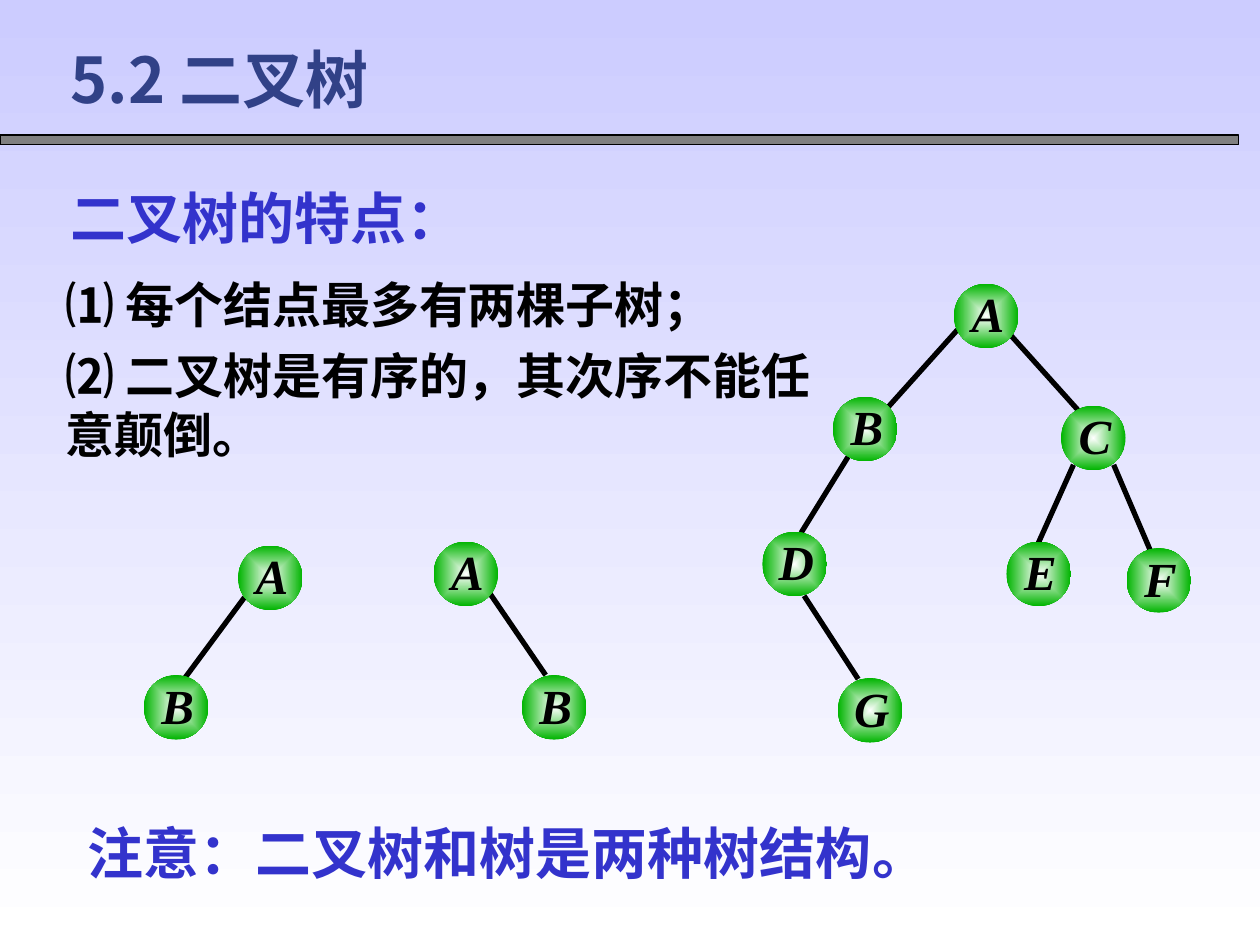
from dataclasses import dataclass

from lxml.etree import SubElement
from pptx import Presentation
from pptx.dml.color import RGBColor
from pptx.enum.shapes import MSO_CONNECTOR, MSO_SHAPE
from pptx.enum.text import MSO_AUTO_SIZE, PP_ALIGN
from pptx.oxml import parse_xml
from pptx.oxml.ns import nsdecls, qn
from pptx.slide import Slide
from pptx.util import Cm, Pt

SERIF = "Times New Roman"
SANS = "Noto Sans CJK SC"

BINARY_TREE = (
    [("A", 19.23, 5.72), ("B", 16.79, 8), ("C", 21.39, 8.18), ("D", 15.37, 10.72),
     ("E", 20.29, 10.92), ("F", 22.71, 11.05), ("G", 16.89, 13.67)],
    [(19.3, 6.65, 17.91, 8.2), (20.35, 6.73, 21.77, 8.31), (17.12, 9.17, 16.15, 10.74),
     (16.21, 12.01, 17.3, 13.69), (21.64, 9.37, 20.93, 10.95), (22.45, 9.37, 23.19, 11.1)],
)
ORDERED_PAIR = (
    [("A", 4.8, 11), ("B", 2.9, 13.61), ("A", 8.74, 10.92), ("B", 10.52, 13.61)],
    [(4.93, 12.04, 3.71, 13.69), (9.86, 11.94, 11, 13.61)],
)


def color(value):
    return RGBColor.from_string(value)


def write(frame, text, size=28, font=SANS, ink="000000", italic=False,
          align=PP_ALIGN.LEFT, space_before=0, insets=(0.25, 0.13, 0.25, 0.13)):
    frame.word_wrap = True
    frame.margin_left, frame.margin_top, frame.margin_right, frame.margin_bottom = map(Cm, insets)
    for index, line in enumerate(text.split("\n")):
        paragraph = frame.add_paragraph() if index else frame.paragraphs[0]
        paragraph.alignment = align
        paragraph.space_before = Pt(space_before if index else 0)
        run = paragraph.add_run()
        run.text = line
        run.font.size, run.font.name = Pt(size), font
        run.font.bold, run.font.italic = True, italic
        run.font.color.rgb = color(ink)
        SubElement(run.font._element, qn("a:ea"), typeface=SANS)


@dataclass
class Canvas:
    """Holds the current slide and the style shared by its elements."""
    slide: Slide
    node_size: float = 1.3
    node_edge: str = "00B400"
    ink: str = "000000"

    def gradient(self, fill, start, end):
        fill.gradient()
        for stop, value in zip(fill.gradient_stops, (start, end)):
            stop.color.rgb = color(value)

    def background(self, top, bottom):
        fill = self.slide.background.fill
        self.gradient(fill, top, bottom)
        fill.gradient_angle = 270

    def bar(self, left, top, width, height, fill):
        shape = self.slide.shapes.add_shape(
            MSO_SHAPE.RECTANGLE, Cm(left), Cm(top), Cm(width), Cm(height))
        shape.shadow.inherit = False
        shape.fill.solid()
        shape.fill.fore_color.rgb = color(fill)
        shape.line.color.rgb = color(self.ink)
        shape.line.width = Pt(0.75)

    def text(self, left, top, width, height, text, **style):
        box = self.slide.shapes.add_textbox(Cm(left), Cm(top), Cm(width), Cm(height))
        write(box.text_frame, text, **style)
        box.text_frame.auto_size = MSO_AUTO_SIZE.SHAPE_TO_FIT_TEXT

    def edge(self, group, *ends):
        connector = group.shapes.add_connector(MSO_CONNECTOR.STRAIGHT, *map(Cm, ends))
        connector.line.color.rgb = color(self.ink)
        connector.line.width = Pt(3)
        SubElement(connector._element.spPr, qn("a:effectLst"))

    def node(self, group, name, left, top):
        size = Cm(self.node_size)
        shape = group.shapes.add_shape(MSO_SHAPE.OVAL, Cm(left), Cm(top), size, size)
        shape.shadow.inherit = False
        shape.line.fill.background()
        self.gradient(shape.fill, "FFFFFF", self.node_edge)
        linear = shape._element.spPr.find(".//" + qn("a:lin"))
        linear.getparent().replace(linear, parse_xml(
            f'<a:path {nsdecls("a")} path="rect">'
            '<a:fillToRect l="50000" t="50000" r="50000" b="50000"/></a:path>'))
        label = group.shapes.add_textbox(Cm(left + 0.14), Cm(top - 0.1), Cm(1.09), Cm(1.7))
        write(label.text_frame, name, font=SERIF, italic=True,
              align=PP_ALIGN.CENTER, insets=(0, 0.1, 0, 0))

    def tree(self, nodes, edges):
        group = self.slide.shapes.add_group_shape()
        for ends in edges:
            self.edge(group, *ends)
        for node in nodes:
            self.node(group, *node)


def main():
    presentation = Presentation()
    presentation.slide_width, presentation.slide_height = Cm(25.4), Cm(19.05)
    canvas = Canvas(presentation.slides.add_slide(presentation.slide_layouts[6]))
    canvas.background("CCCCFF", "FFFFFF")
    canvas.bar(0, 2.72, 24.97, 0.2, "808080")
    heading = {"size": 32, "font": SERIF, "ink": "3333CC"}
    canvas.text(1.17, 3.56, 9.96, 1.63, "二叉树的特点：", **heading)
    canvas.text(1.32, 5.41, 15.06, 4.06,
                "⑴ 每个结点最多有两棵子树；\n⑵ 二叉树是有序的，其次序不能任意颠倒。",
                space_before=7, insets=(0, 0.13, 0, 0.13))
    canvas.text(1.17, 0.69, 16.2, 1.78, "5.2 二叉树", size=36, ink="314187",
                align=PP_ALIGN.JUSTIFY)
    canvas.text(1.52, 16.38, 19.66, 1.63, "注意：二叉树和树是两种树结构。",
                align=PP_ALIGN.JUSTIFY, **heading)
    for nodes, edges in (BINARY_TREE, ORDERED_PAIR):
        canvas.tree(nodes, edges)
    presentation.save("out.pptx")


if __name__ == "__main__":
    main()
